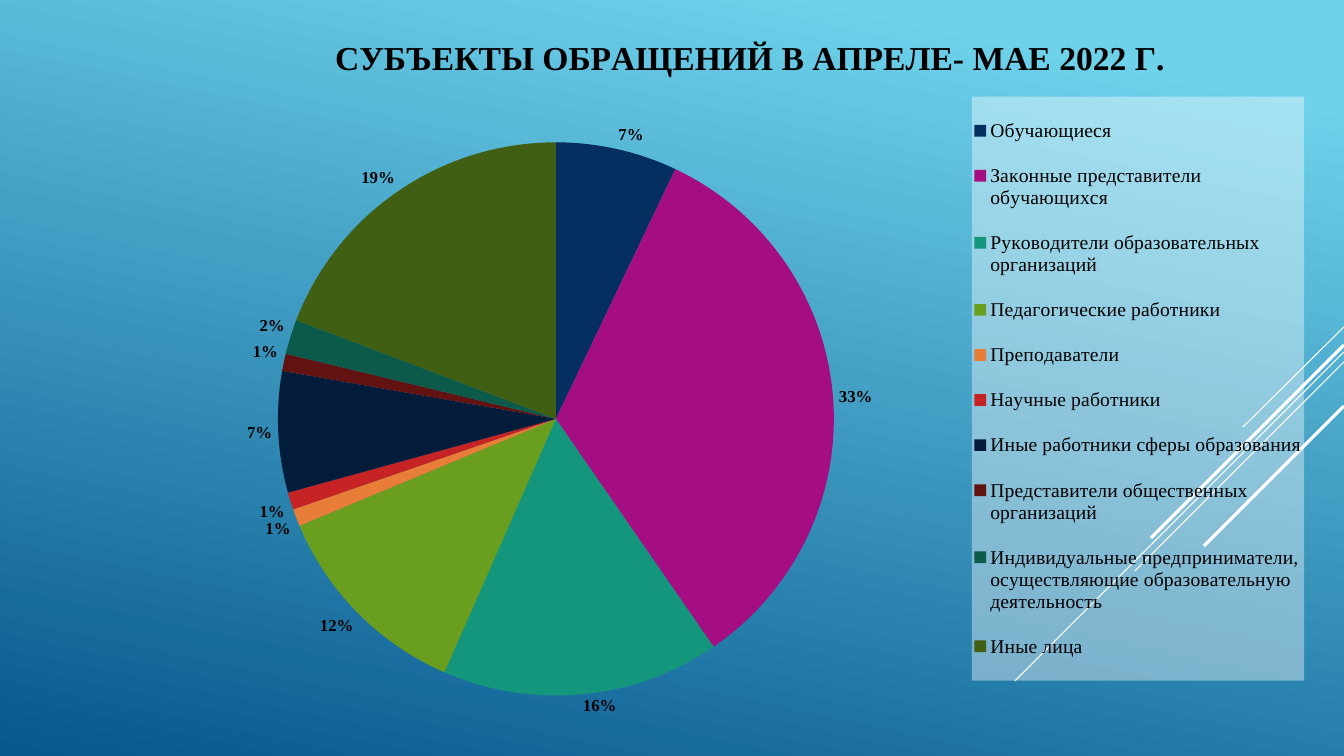
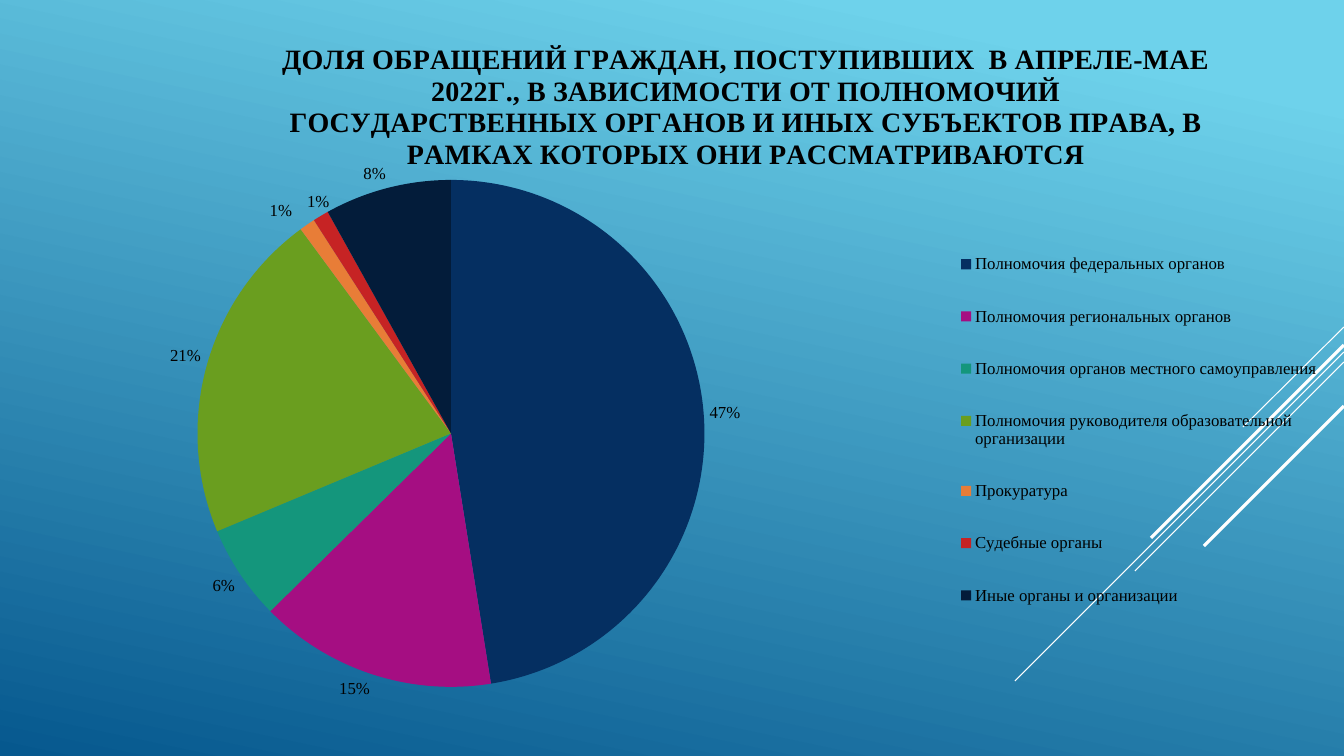
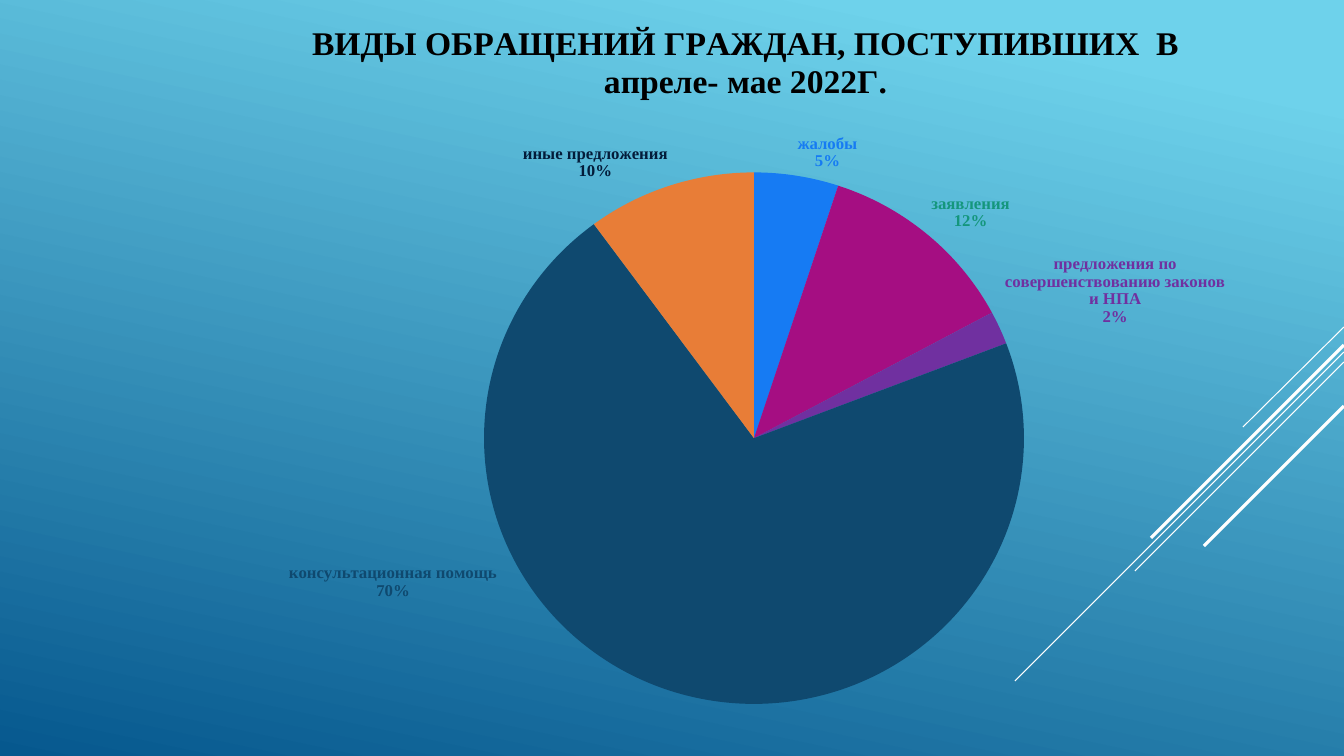
from lxml import etree
from pptx import Presentation
from pptx import util as u
from pptx.chart import data
from pptx.dml import color
from pptx.enum import chart as charts
from pptx.enum import shapes
from pptx.oxml import ns

PX = 914400 / 100.8
WIDTH, HEIGHT = 1344, 756
BLANK_LAYOUT = 6
COLORS = {
    "sky": "6ED2EB", "deep": "06588E", "white": "FFFFFF", "black": "000000",
    "navy": "052F61", "magenta": "A50E82", "teal": "14967C", "green": "6A9E1F",
    "orange": "E87D37", "red": "C62324", "midnight": "031C3A", "maroon": "631212",
    "pine": "0C5A4A", "olive": "405F13", "blue": "167BF3", "purple": "7030A0",
    "petrol": "0F496F",
}
PALETTE = ["navy", "magenta", "teal", "green", "orange", "red",
           "midnight", "maroon", "pine", "olive"]
RAYS = [
    (1344, 327, 1243, 427, 0.75),
    (1344, 352, 1015, 681, 0.75),
    (1344, 362, 1135, 571, 0.75),
    (1344, 345, 1151, 538, 2.25),
    (1344, 406, 1204, 546, 2.25),
]
PERCENT = '0"%"'


def px(length):
    return u.Emu(round(length * PX))


def rgb(name):
    return color.RGBColor.from_string(COLORS[name])


def element(tag, **attributes):
    node = etree.Element(ns.qn(tag))
    for name, value in attributes.items():
        node.set(name, str(value))
    return node


def set_layout(parent, index, **values):
    old = parent.find(ns.qn("c:layout"))
    if old is not None:
        parent.remove(old)
    layout = element("c:layout")
    manual = etree.SubElement(layout, ns.qn("c:manualLayout"))
    for tag, value in values.items():
        manual.append(element(f"c:{tag}", val=value))
    parent.insert(index, layout)


def share(frame, box):
    left, top, width, height = frame
    values = {"x": (box[0] - left) / width, "y": (box[1] - top) / height}
    if len(box) == 4:
        values.update(w=box[2] / width, h=box[3] / height)
    return {tag: round(value, 4) for tag, value in values.items()}


class Deck:
    font = "Times New Roman"
    base_font = "League Spartan"

    def __init__(self):
        self.deck = Presentation()
        self.deck.slide_width, self.deck.slide_height = px(WIDTH), px(HEIGHT)
        self.page = None

    def add_page(self):
        self.page = self.deck.slides.add_slide(self.deck.slide_layouts[BLANK_LAYOUT])

    def style_master(self):
        master = self.deck.slide_master
        fill = master.background.fill
        fill.gradient()
        fill.gradient_angle = 258
        for stop, place, name in zip(fill.gradient_stops, (0.1, 1), ("sky", "deep")):
            stop.position = place
            stop.color.rgb = rgb(name)
        for ray in RAYS:
            master.shapes.element.append(self.line(*ray).element)

    def line(self, left, top, right, bottom, weight):
        line = self.page.shapes.add_connector(
            shapes.MSO_CONNECTOR.STRAIGHT, px(left), px(top), px(right), px(bottom))
        line.line.color.rgb = rgb("white")
        line.line.width = u.Pt(weight)
        line.element.spPr.append(element("a:effectLst"))
        return line

    def style(self, font, size, name="black", bold=False):
        font.name = self.font
        font.size = u.Pt(size)
        font.bold = bold
        font.color.rgb = rgb(name)

    def pie(self, frame, plot, slices, colors):
        source = data.CategoryChartData(number_format=PERCENT)
        source.categories = [label for label, value in slices]
        source.add_series("Series 1", [value for label, value in slices])
        chart = self.page.shapes.add_chart(
            charts.XL_CHART_TYPE.PIE, *map(px, frame), source).chart
        self.style(chart.font, 10, "white")
        chart.font.name = self.base_font
        chart.has_legend = False
        chart.plots[0].vary_by_categories = True
        series = chart.plots[0].series[0]
        series.format.line.fill.background()
        for index, name in enumerate(colors):
            fill = series.points[index].format.fill
            fill.solid()
            fill.fore_color.rgb = rgb(name)
        plot_area = chart.element.find(".//" + ns.qn("c:plotArea"))
        set_layout(plot_area, 0, layoutTarget="inner", xMode="edge", yMode="edge",
                   **share(frame, plot))
        return chart

    def title(self, chart, frame, place, words, size):
        title = chart.chart_title
        title.text_frame.text = words
        title.include_in_layout = False
        self.style(title.text_frame.paragraphs[0].runs[0].font, size, bold=True)
        node = chart.element.find(".//" + ns.qn("c:title"))
        set_layout(node, 1, xMode="edge", yMode="edge", **share(frame, place))

    def legend(self, chart, frame, box, size, panel=False):
        chart.has_legend = True
        legend = chart.legend
        legend.position = charts.XL_LEGEND_POSITION.RIGHT
        legend.include_in_layout = False
        self.style(legend.font, size)
        node = chart.element.find(".//" + ns.qn("c:legend"))
        set_layout(node, 1, xMode="edge", yMode="edge", **share(frame, box))
        if panel:
            shape = element("c:spPr")
            fill = etree.SubElement(shape, ns.qn("a:solidFill"))
            tint = element("a:srgbClr", val=COLORS["white"])
            tint.append(element("a:alpha", val=39000))
            fill.append(tint)
            node.find(ns.qn("c:txPr")).addprevious(shape)

    def labels(self, chart, bold):
        labels = chart.plots[0].series[0].data_labels
        labels.show_value = True
        labels.show_percentage = False
        labels.number_format = PERCENT
        labels.number_format_is_linked = False
        labels.position = charts.XL_LABEL_POSITION.OUTSIDE_END
        self.style(labels.font, 12, bold=bold)
        node = chart.element.find(".//" + ns.qn("c:ser")).find(ns.qn("c:dLbls"))
        leader = node.find(ns.qn("c:showLeaderLines"))
        if leader is None:
            leader = element("c:showLeaderLines")
            node.append(leader)
        leader.set("val", "0")

    def point_labels(self, chart, colors, moved, named=False):
        for index, name in colors.items():
            label = chart.plots[0].series[0].points[index].data_label
            self.style(label.font, 12, name, bold=named)
            label.position = charts.XL_LABEL_POSITION.OUTSIDE_END
        for node in chart.element.iter(ns.qn("c:dLbl")):
            node.find(ns.qn("c:txPr")).addprevious(
                element("c:numFmt", formatCode=PERCENT, sourceLinked=0))
            if named:
                node.find(ns.qn("c:showCatName")).set("val", "1")
                separator = element("c:separator")
                separator.text = "\n"
                node.append(separator)
            index = int(node.find(ns.qn("c:idx")).get("val"))
            if index in moved:
                across, down = moved[index]
                set_layout(node, 1, x=across, y=down)


def subjects(deck):
    slices = [
        ("Обучающиеся", 7),
        ("Законные представители обучающихся", 33),
        ("Руководители образовательных организаций", 16),
        ("Педагогические работники", 12),
        ("Преподаватели", 1),
        ("Научные работники", 1),
        ("Иные работники сферы образования", 7),
        ("Представители общественных организаций", 1),
        ("Индивидуальные предприниматели, осуществляющие "
         "образовательную деятельность", 2),
        ("Иные лица", 19),
    ]
    frame = (195, 16, 1118, 702)
    chart = deck.pie(frame, (231, 143, 650, 556), slices, PALETTE)
    deck.title(chart, frame, (329, 30), "СУБЪЕКТЫ ОБРАЩЕНИЙ В АПРЕЛЕ- МАЕ 2022 Г.", 24)
    deck.legend(chart, frame, (972, 97, 332, 587), 14, panel=True)
    deck.labels(chart, bold=True)


def powers(deck):
    slices = [
        ("Полномочия федеральных органов", 47),
        ("Полномочия региональных органов", 15),
        ("Полномочия органов местного самоуправления", 6),
        ("Полномочия руководителя образовательной организации", 21),
        ("Прокуратура", 1),
        ("Судебные органы", 1),
        ("Иные органы и организации", 8),
    ]
    frame = (159, 16, 1175, 702)
    chart = deck.pie(frame, (194, 180, 514, 507), slices, PALETTE[:len(slices)])
    deck.title(chart, frame, (277, 36),
               "ДОЛЯ ОБРАЩЕНИЙ ГРАЖДАН, ПОСТУПИВШИХ  В АПРЕЛЕ-МАЕ 2022Г., "
               "В ЗАВИСИМОСТИ ОТ ПОЛНОМОЧИЙ ГОСУДАРСТВЕННЫХ ОРГАНОВ И ИНЫХ "
               "СУБЪЕКТОВ ПРАВА, В РАМКАХ КОТОРЫХ ОНИ РАССМАТРИВАЮТСЯ", 20)
    deck.legend(chart, frame, (958, 221, 362, 418), 12)
    deck.labels(chart, bold=False)
    deck.point_labels(chart, {4: "black", 5: "black"}, {4: (-0.01, 0), 5: (0.01, 0)})


def kinds(deck):
    slices = [
        ("жалобы", 5),
        ("заявления", 12),
        ("предложения по совершенствованию законов и НПА", 2),
        ("консультационная помощь", 70),
        ("иные предложения", 10),
    ]
    frame = (177, 16, 1119, 718)
    chart = deck.pie(frame, (484, 175, 540, 540), slices,
                     ["blue", "magenta", "purple", "petrol", "orange"])
    deck.title(chart, frame, (306, 16),
               "ВИДЫ ОБРАЩЕНИЙ ГРАЖДАН, ПОСТУПИВШИХ  В апреле- мае 2022Г.", 24)
    deck.labels(chart, bold=True)
    names = ["blue", "teal", "purple", "petrol", "midnight"]
    deck.point_labels(chart, dict(enumerate(names)), {3: (-0.16, -0.19)}, named=True)


def main():
    deck = Deck()
    for number, build in enumerate((subjects, powers, kinds)):
        deck.add_page()
        if number == 0:
            deck.style_master()
        build(deck)
    deck.deck.save("out.pptx")


if __name__ == "__main__":
    main()
